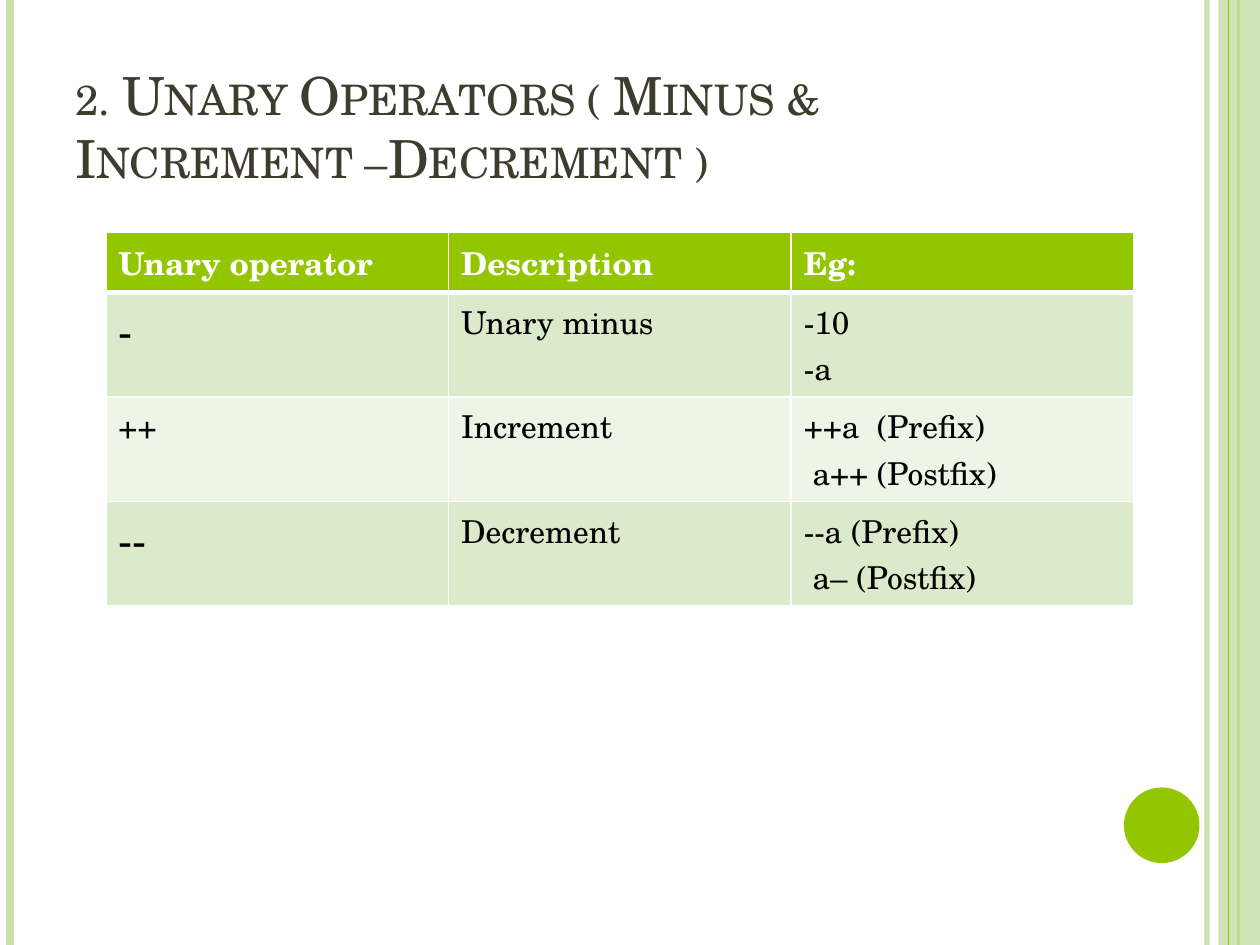
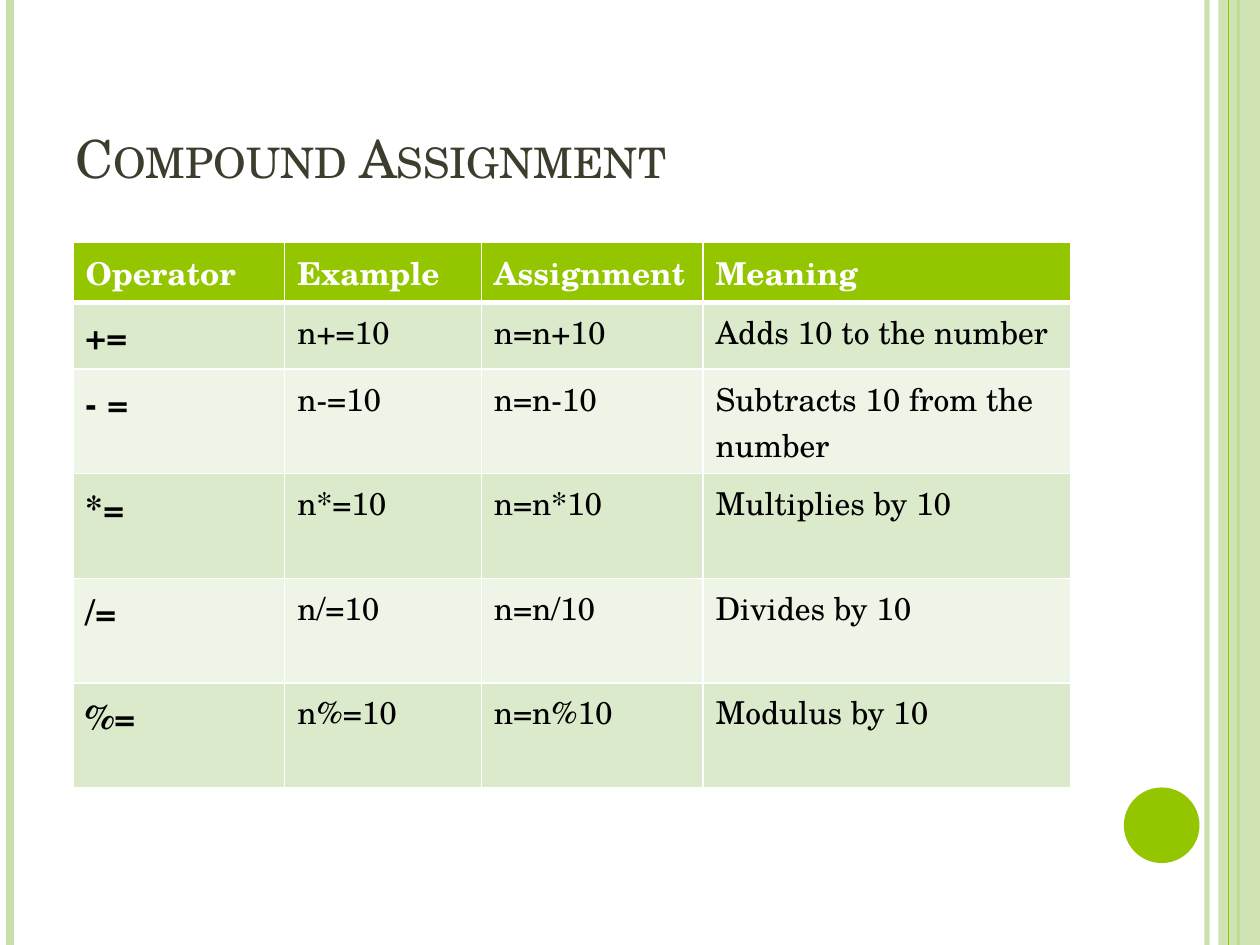
from lxml import etree
from pptx import Presentation
from pptx.dml.color import RGBColor
from pptx.enum.shapes import MSO_CONNECTOR, MSO_SHAPE
from pptx.enum.text import MSO_ANCHOR
from pptx.oxml.ns import qn
from pptx.util import Inches, Pt

STRAIGHT = MSO_CONNECTOR.STRAIGHT
RECTANGLE, OVAL = MSO_SHAPE.RECTANGLE, MSO_SHAPE.OVAL
BOTTOM = MSO_ANCHOR.BOTTOM

FONT = "TeX Gyre Schola"
WHITE = RGBColor(0xFF, 0xFF, 0xFF)
BLACK = RGBColor(0x00, 0x00, 0x00)
TITLE_COLOR = RGBColor(0x3E, 0x3D, 0x2D)
GREEN = RGBColor(0x94, 0xC6, 0x00)
PALE_GREEN = RGBColor(0xC8, 0xDF, 0xAB)
ROW_DARK = RGBColor(0xDC, 0xEA, 0xCC)
ROW_LIGHT = RGBColor(0xEE, 0xF5, 0xE7)

SLIDE_W, SLIDE_H = 10, 7.5
TITLE_BOX = (0.5, 0.3, 8.17, 1.25)
HEADER_H, ROW_H = 0.48, 0.83

UNARY_ROWS = [
    ("Unary operator", "Description", "Eg:"),
    ("-", "Unary minus", "-10\n-a"),
    ("++", "Increment", "++a  (Prefix)\n a++ (Postfix)"),
    ("--", "Decrement", "--a (Prefix)\n a– (Postfix)"),
]
COMPOUND_ROWS = [
    ("Operator", "Example", "Assignment", "Meaning"),
    ("+=", "n+=10", "n=n+10", "Adds 10 to the number"),
    ("- =", "n-=10", "n=n-10", "Subtracts 10 from the number"),
    ("*=", "n*=10", "n=n*10", "Multiplies by 10"),
    ("/=", "n/=10", "n=n/10", "Divides by 10"),
    ("%=", "n%=10", "n=n%10", "Modulus by 10"),
]


def write(frame, text, size=18, color=BLACK, bold=False, small_caps=False):
    frame.word_wrap = True
    for index, line in enumerate(text.split("\n")):
        paragraph = frame.add_paragraph() if index else frame.paragraphs[0]
        run = paragraph.add_run()
        run.text = line
        run.font.name = FONT
        run.font.size = Pt(size)
        run.font.bold = bold
        run.font.color.rgb = color
        if small_caps:
            run.font._element.set("cap", "small")


def set_alpha(fill_parent, percent):
    color = fill_parent.find(".//" + qn("a:srgbClr"))
    etree.SubElement(color, qn("a:alpha"), val=str(percent * 1000))


def add_rule(slide, x, width, color, alpha=None):
    """Draw a vertical line over the full slide height."""
    rule = slide.shapes.add_connector(
        STRAIGHT, Inches(x), 0, Inches(x), Inches(SLIDE_H))
    rule.line.color.rgb = color
    rule.line.width = Pt(width)
    properties = rule._element.spPr
    if alpha:
        set_alpha(properties, alpha)
    etree.SubElement(properties, qn("a:effectLst"))


def add_plain_shape(slide, kind, box, color):
    shape = slide.shapes.add_shape(kind, *map(Inches, box))
    shape.shadow.inherit = False
    shape.fill.solid()
    shape.fill.fore_color.rgb = color
    shape.line.fill.background()
    return shape


def add_side_bands(slide):
    add_rule(slide, 9.58, 3, PALE_GREEN, alpha=93)
    add_rule(slide, 0.08, 4.5, PALE_GREEN)
    add_rule(slide, 9.83, 1.5, GREEN)
    band = add_plain_shape(slide, RECTANGLE, (9.67, 0, 0.33, SLIDE_H), PALE_GREEN)
    set_alpha(band._element.spPr, 87)
    add_rule(slide, 9.75, 0.75, GREEN)
    add_plain_shape(slide, OVAL, (8.92, 6.25, 0.6, 0.6), GREEN)


def add_title(slide, text):
    frame = slide.shapes.add_textbox(*map(Inches, TITLE_BOX)).text_frame
    frame.vertical_anchor = BOTTOM
    write(frame, text, size=30, color=TITLE_COLOR, small_caps=True)


def set_borders(cell, top, bottom):
    properties = cell._tc.get_or_add_tcPr()
    for side, width in (("L", 1), ("R", 1), ("T", top), ("B", bottom)):
        line = etree.SubElement(properties, qn(f"a:ln{side}"), w=str(Pt(width)))
        fill = etree.SubElement(line, qn("a:solidFill"))
        etree.SubElement(fill, qn("a:srgbClr"), val=str(WHITE))


def add_operator_table(slide, left, top, widths, heights, rows, operator_format):
    """operator_format maps a first-column text to its own text format."""
    table = slide.shapes.add_table(
        len(rows), len(widths), Inches(left), Inches(top),
        Inches(sum(widths)), Inches(sum(heights))).table
    for column, width in zip(table.columns, widths):
        column.width = Inches(width)
    for r, (texts, height) in enumerate(zip(rows, heights)):
        table.rows[r].height = Inches(height)
        header = r == 0
        for c, text in enumerate(texts):
            cell = table.cell(r, c)
            set_borders(cell, top=3 if r == 1 else 1, bottom=3 if header else 1)
            cell.fill.solid()
            if header:
                cell.fill.fore_color.rgb = GREEN
                text_format = {"color": WHITE, "bold": True}
            else:
                cell.fill.fore_color.rgb = ROW_DARK if r % 2 else ROW_LIGHT
                text_format = operator_format.get(text, {}) if c == 0 else {}
            write(cell.text_frame, text, **text_format)


def add_operator_slide(deck, title, **table_options):
    slide = deck.slides.add_slide(deck.slide_layouts[6])
    add_side_bands(slide)
    add_title(slide, title)
    add_operator_table(slide, **table_options)


def main():
    deck = Presentation()
    deck.slide_width, deck.slide_height = Inches(SLIDE_W), Inches(SLIDE_H)
    add_operator_slide(
        deck, "2. Unary Operators ( Minus & Increment –Decrement )",
        left=0.84, top=1.84, widths=[2.72] * 3,
        heights=[HEADER_H] + [ROW_H] * 3, rows=UNARY_ROWS,
        operator_format={sign: {"size": 24} for sign in ("-", "--")})
    add_operator_slide(
        deck, "Compound Assignment",
        left=0.58, top=1.92, widths=[1.68, 1.56, 1.76, 2.92],
        heights=[HEADER_H, 0.53] + [ROW_H] * 4, rows=COMPOUND_ROWS,
        operator_format={row[0]: {"size": 20, "bold": True}
                         for row in COMPOUND_ROWS[1:]})
    deck.save("out.pptx")


if __name__ == "__main__":
    main()
